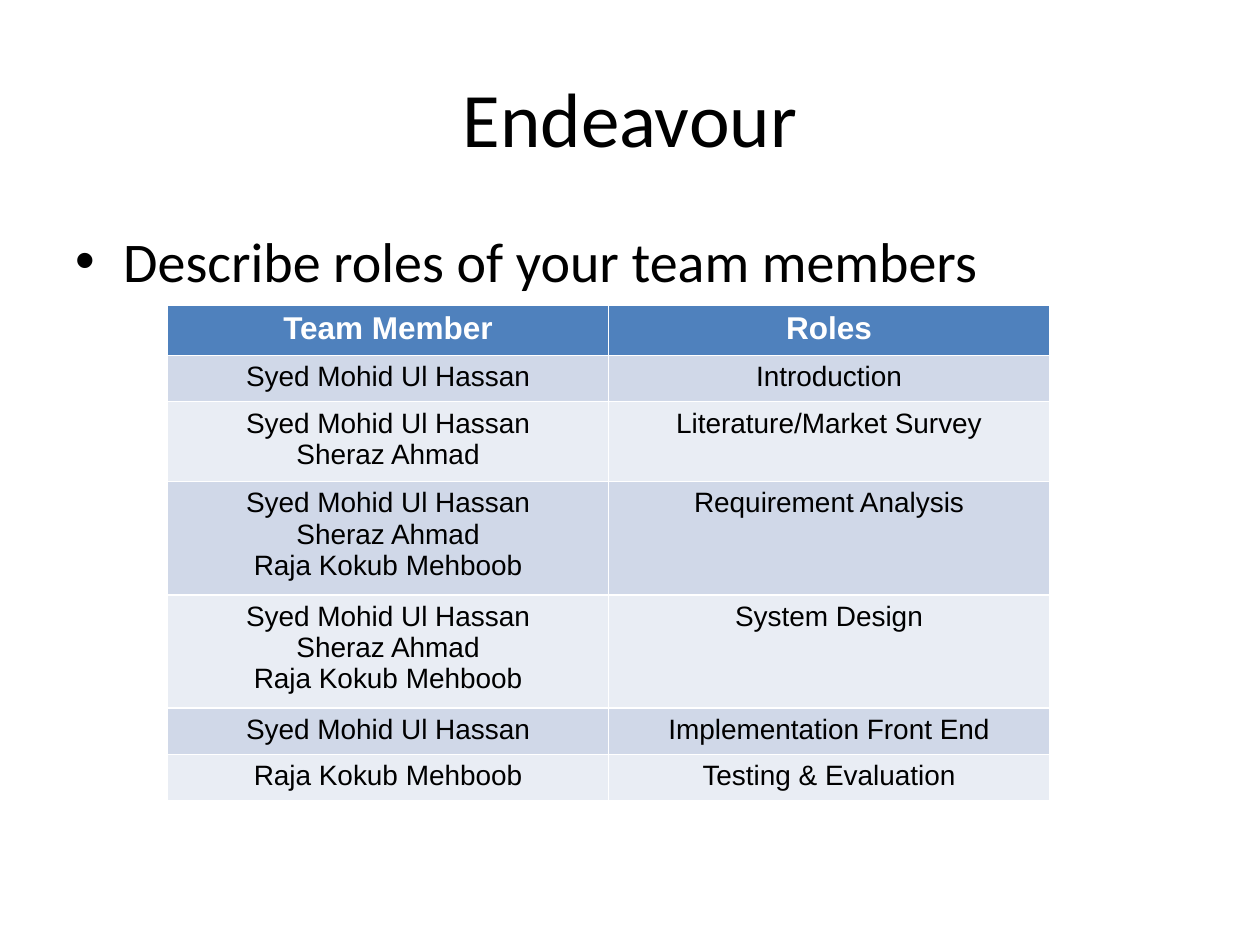
from lxml import etree
from pptx import Presentation
from pptx.dml.color import RGBColor
from pptx.enum import text
from pptx.oxml.ns import qn
from pptx.util import Inches, Pt

BLACK = RGBColor(0x00, 0x00, 0x00)
WHITE = RGBColor(0xFF, 0xFF, 0xFF)
HEADER_BLUE = RGBColor(0x4F, 0x81, 0xBD)
BANDS = (RGBColor(0xD0, 0xD8, 0xE8), RGBColor(0xE9, 0xED, 0xF4))

HASSAN, AHMAD, MEHBOOB = "Syed Mohid Ul Hassan", "Sheraz Ahmad", "Raja Kokub Mehboob"
ROLES = [
    ([HASSAN], "Introduction"),
    ([HASSAN, AHMAD], "Literature/Market Survey"),
    ([HASSAN, AHMAD, MEHBOOB], "Requirement Analysis"),
    ([HASSAN, AHMAD, MEHBOOB], "System Design"),
    ([HASSAN], "Implementation Front End"),
    ([MEHBOOB], "Testing & Evaluation"),
]
ROW_HEIGHTS = {1: 0.33, 2: 0.56, 3: 0.8}  # by number of members


def add_run(paragraph, words, font, size, color=BLACK, bold=False):
    run = paragraph.add_run()
    run.text = words
    run.font.name = font
    run.font.size = Pt(size)
    run.font.bold = bold
    run.font.color.rgb = color


def add_text_frame(slide, left, top, width, height):
    frame = slide.shapes.add_textbox(
        Inches(left), Inches(top), Inches(width), Inches(height)).text_frame
    frame.word_wrap = True
    return frame


def add_title(slide, words, *box):
    frame = add_text_frame(slide, *box)
    frame.vertical_anchor = text.MSO_ANCHOR.MIDDLE
    title = frame.paragraphs[0]
    title.alignment = text.PP_ALIGN.CENTER
    add_run(title, words, "Calibri", 44)


def add_bullet(slide, words, *box):
    bullet = add_text_frame(slide, *box).paragraphs[0]
    properties = bullet._p.get_or_add_pPr()
    properties.set("marL", str(Inches(0.38)))
    properties.set("indent", str(-Inches(0.38)))
    spacing = etree.SubElement(properties, qn("a:spcBef"))
    etree.SubElement(spacing, qn("a:spcPct")).set("val", "20000")
    etree.SubElement(properties, qn("a:buFont")).set("typeface", "Arial")
    etree.SubElement(properties, qn("a:buChar")).set("char", "•")
    add_run(bullet, words, "Calibri", 32)


def fill_cell(cell, lines, fill, size, color=BLACK, bold=False):
    cell.fill.solid()
    cell.fill.fore_color.rgb = fill
    frame = cell.text_frame
    for index, line in enumerate(lines):
        paragraph = frame.add_paragraph() if index else frame.paragraphs[0]
        paragraph.alignment = text.PP_ALIGN.CENTER
        add_run(paragraph, line, "Arial", size, color, bold)


def add_roles_table(slide, left, top, width, header_height=0.36):
    heights = [header_height] + [ROW_HEIGHTS[len(members)] for members, _ in ROLES]
    table = slide.shapes.add_table(
        len(heights), 2, Inches(left), Inches(top),
        Inches(width), Inches(sum(heights))).table
    for row, height in zip(table.rows, heights):
        row.height = Inches(height)
    for column, heading in enumerate(("Team Member", "Roles")):
        fill_cell(table.cell(0, column), [heading], HEADER_BLUE, 18, WHITE, True)
    for index, (members, role) in enumerate(ROLES):
        band = BANDS[index % 2]
        fill_cell(table.cell(index + 1, 0), members, band, 16)
        fill_cell(table.cell(index + 1, 1), [role], band, 16)


def main():
    deck = Presentation()
    deck.slide_width, deck.slide_height = Inches(10), Inches(7.5)
    slide = deck.slides.add_slide(deck.slide_layouts[6])
    add_title(slide, "Endeavour", 0.5, 0.3, 9, 1.25)
    add_bullet(slide, "Describe roles of your team members", 0.5, 1.75, 9, 0.67)
    add_roles_table(slide, 1.33, 2.42, 7)
    deck.save("out.pptx")


if __name__ == "__main__":
    main()
